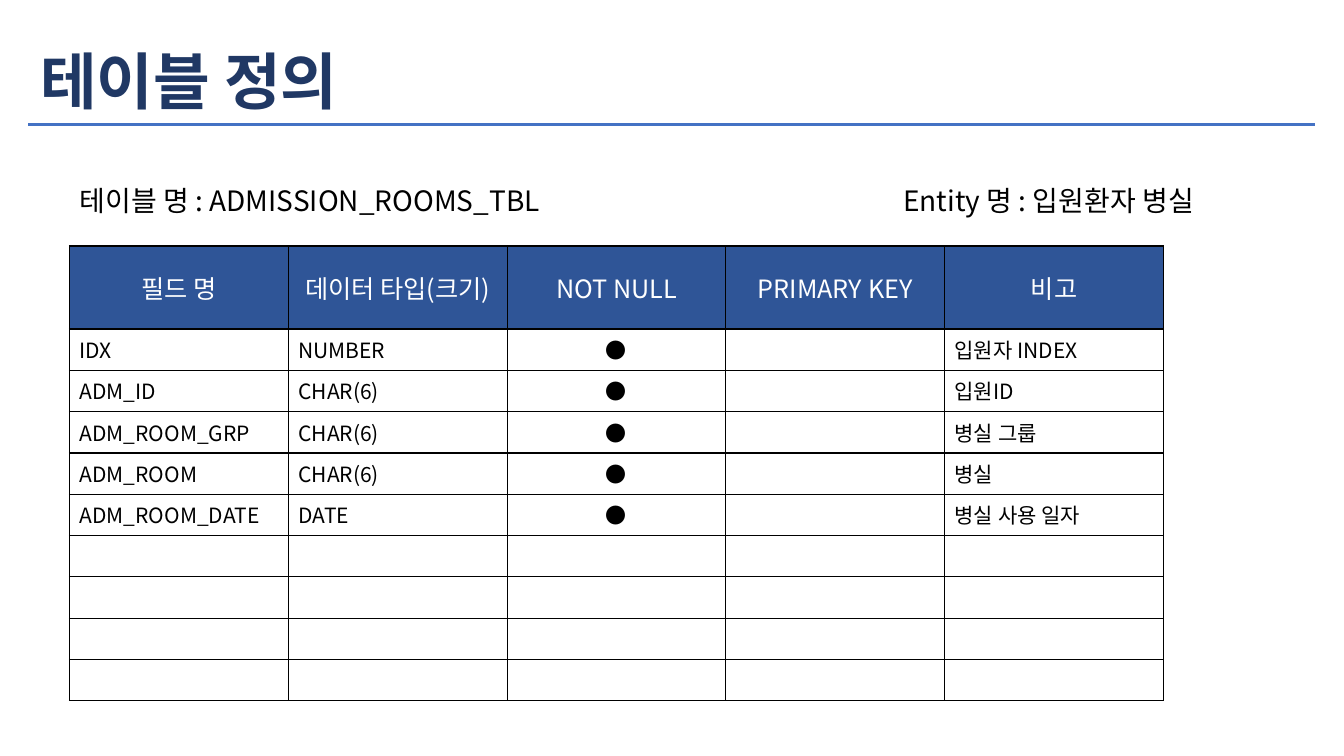
from dataclasses import dataclass

from lxml.etree import SubElement
from pptx import Presentation
from pptx.dml.color import RGBColor
from pptx.enum.shapes import MSO_SHAPE
from pptx.enum.text import MSO_ANCHOR, PP_ALIGN
from pptx.oxml.ns import qn
from pptx.util import Inches, Pt


@dataclass(frozen=True)
class Theme:
    font: str = "Noto Sans CJK KR"
    navy: str = "203864"
    header: str = "2F5597"
    rule: str = "4472C4"
    black: str = "000000"
    white: str = "FFFFFF"
    title_size: int = 44
    label_size: int = 20
    header_size: int = 18
    body_size: int = 15


THEME = Theme()
HEADERS = ["필드 명", "데이터 타입(크기)", "NOT NULL", "PRIMARY KEY", "비고"]
FIELDS = [
    ("IDX", "NUMBER", "●", "", "입원자 INDEX"),
    ("ADM_ID", "CHAR(6)", "●", "", "입원ID"),
    ("ADM_ROOM_GRP", "CHAR(6)", "●", "", "병실 그룹"),
    ("ADM_ROOM", "CHAR(6)", "●", "", "병실"),
    ("ADM_ROOM_DATE", "DATE", "●", "", "병실 사용 일자"),
]
SPARE_ROWS = 4
NOT_NULL_COL = HEADERS.index("NOT NULL")


def write(p, text, size, color, bold=False):
    """Add a run in the theme font, or only size the paragraph if it is empty."""
    if not text:
        SubElement(p._p, qn("a:endParaRPr"), sz=str(size * 100))
        return
    r = p.add_run()
    r.text = text
    for name, value in {"name": THEME.font, "size": Pt(size), "bold": bold}.items():
        setattr(r.font, name, value)
    r.font.color.rgb = RGBColor.from_string(color)
    SubElement(r._r.get_or_add_rPr(), qn("a:ea"), typeface=THEME.font)


def add_text(slide, box, text, size, color, bold=False):
    tf = slide.shapes.add_textbox(*map(Inches, box)).text_frame
    tf.word_wrap = True
    tf.vertical_anchor = MSO_ANCHOR.MIDDLE
    p = tf.paragraphs[0]
    p.line_spacing = 0.9
    write(p, text, size, color, bold)


def add_rule(slide, box):
    sp = slide.shapes.add_shape(MSO_SHAPE.RECTANGLE, *map(Inches, box))
    sp.shadow.inherit = False
    sp.fill.solid()
    sp.fill.fore_color.rgb = RGBColor.from_string(THEME.rule)
    sp.line.color.rgb = RGBColor.from_string(THEME.white)
    sp.line.width = Pt(1)


def add_borders(cell):
    tcPr = cell._tc.get_or_add_tcPr()
    for side in ("lnL", "lnR", "lnT", "lnB"):
        ln = SubElement(tcPr, qn(f"a:{side}"), w=str(Pt(1)))
        fill = SubElement(ln, qn("a:solidFill"))
        SubElement(fill, qn("a:srgbClr"), val=THEME.black)


def fill_cell(cell, text, is_header, centred):
    add_borders(cell)
    p = cell.text_frame.paragraphs[0]
    if centred:
        p.alignment = PP_ALIGN.CENTER
    if is_header:
        cell.vertical_anchor = MSO_ANCHOR.MIDDLE
        cell.fill.solid()
        cell.fill.fore_color.rgb = RGBColor.from_string(THEME.header)
        write(p, text, THEME.header_size, THEME.white)
    else:
        cell.fill.background()
        write(p, text, THEME.body_size, THEME.black)


def add_field_table(slide, box):
    rows = [HEADERS, *FIELDS, *[[""] * len(HEADERS)] * SPARE_ROWS]
    table = slide.shapes.add_table(len(rows), len(HEADERS), *map(Inches, box)).table
    table.first_row = table.horz_banding = False
    for column in table.columns:
        column.width = Inches(2.17)
    for i, values in enumerate(rows):
        is_header = i == 0
        table.rows[i].height = Inches(0.61 if is_header else 0.41)
        for j, text in enumerate(values):
            fill_cell(table.cell(i, j), text, is_header, is_header or j == NOT_NULL_COL)


def main():
    prs = Presentation()
    prs.slide_width, prs.slide_height = Inches(13.33), Inches(7.5)
    slide = prs.slides.add_slide(prs.slide_layouts[6])
    add_field_table(slide, (0.69, 2.44, 10.85, 4.3))
    add_text(slide, (0.69, 1.75, 5.55, 0.51), "테이블 명 : ADMISSION_ROOMS_TBL",
             THEME.label_size, THEME.black)
    add_text(slide, (8.86, 1.75, 4.48, 0.51), "Entity 명 : 입원환자 병실",
             THEME.label_size, THEME.black)
    add_text(slide, (0.3, 0.32, 11.39, 1.04), "테이블 정의",
             THEME.title_size, THEME.navy, bold=True)
    add_rule(slide, (0.27, 1.21, 12.78, 0.05))
    prs.save("out.pptx")


if __name__ == "__main__":
    main()
